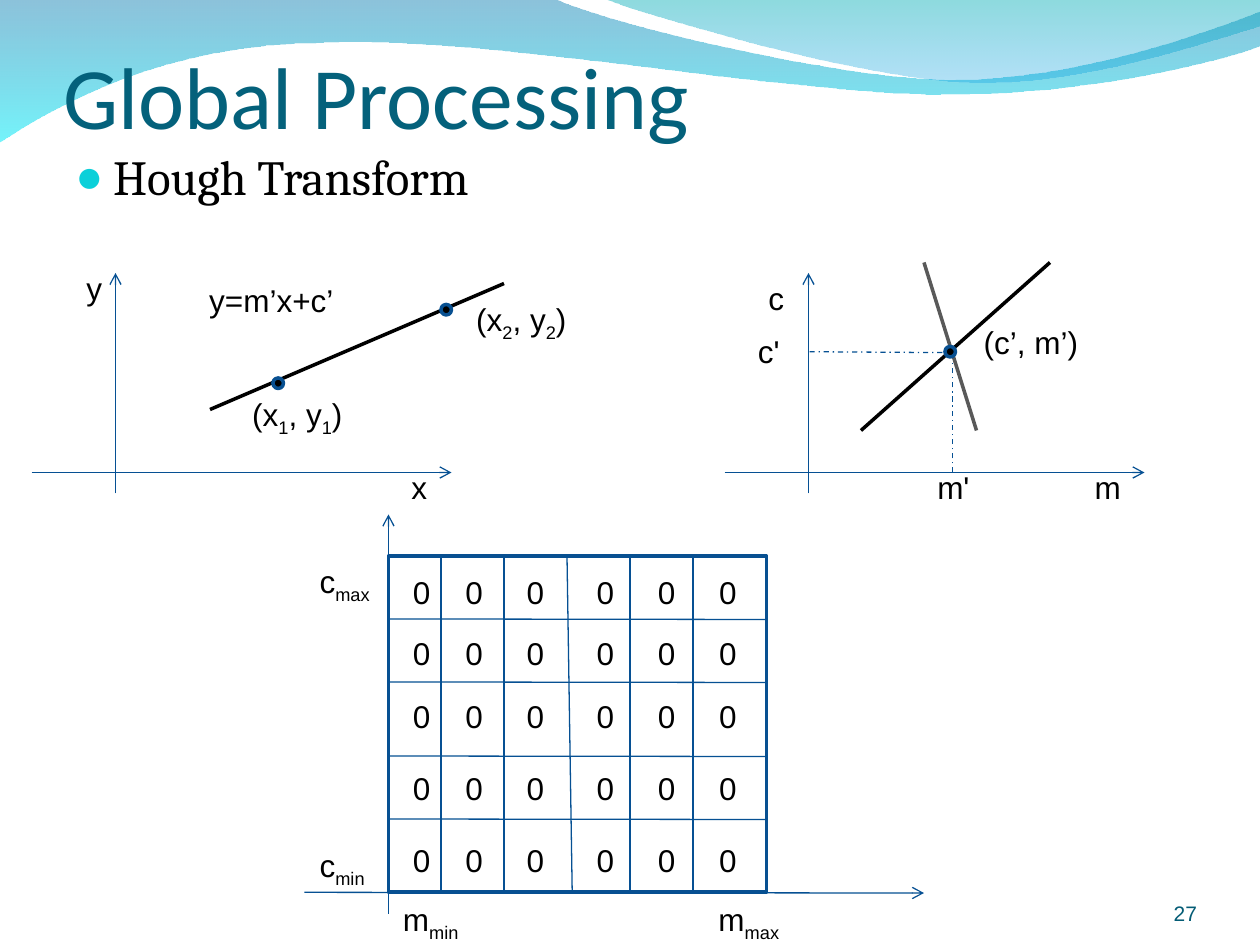
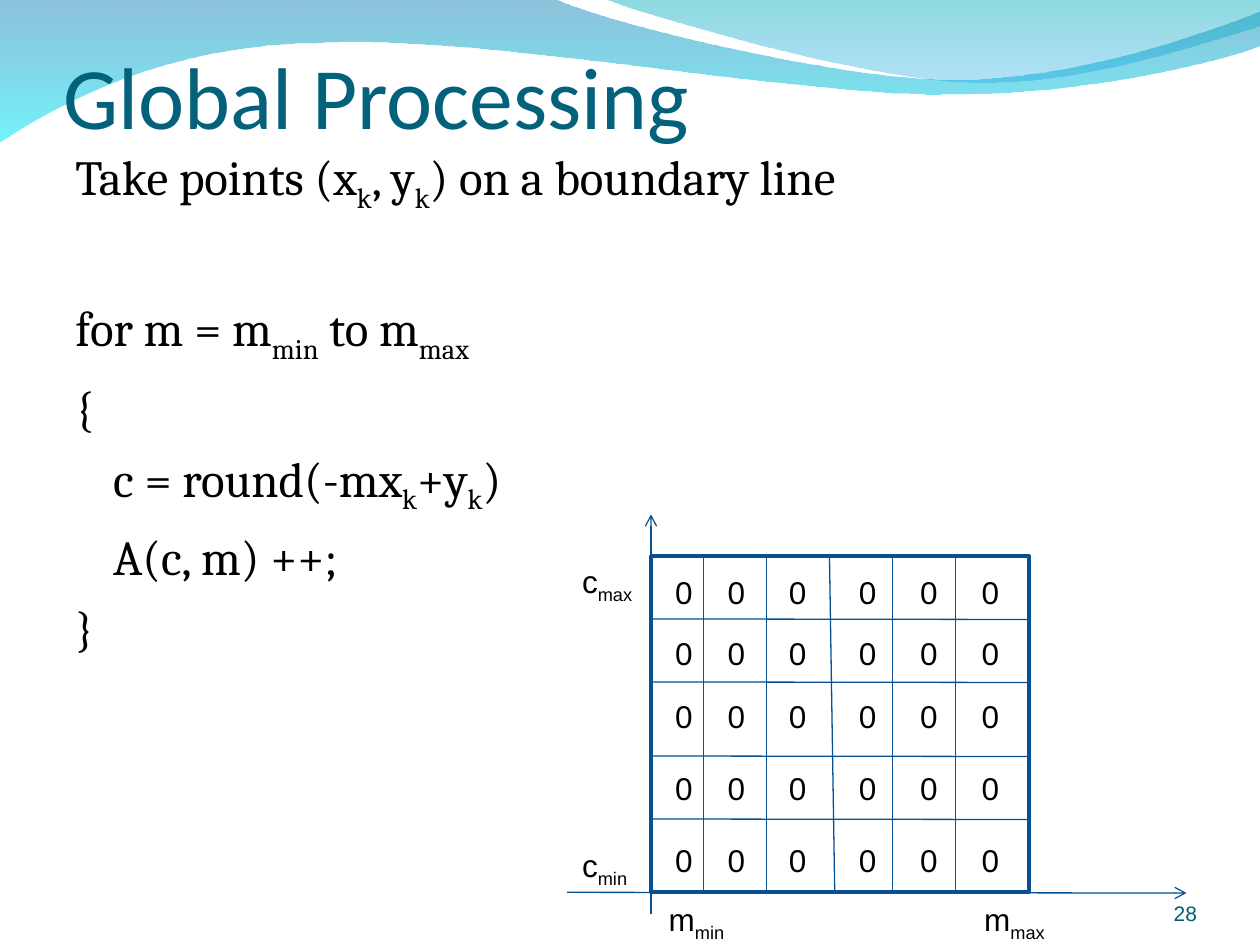
from lxml import etree
from pptx import Presentation
from pptx.dml.color import RGBColor
from pptx.enum.dml import MSO_LINE
from pptx.enum.shapes import MSO_CONNECTOR, MSO_SHAPE
from pptx.enum.text import MSO_ANCHOR as ANCHOR, MSO_AUTO_SIZE as AUTO_SIZE, PP_ALIGN as ALIGN
from pptx.oxml.ns import qn
from pptx.util import Pt

COLORS = {
    "title": "04617B", "text": "000000", "bullet": "0BD0D9", "number": "045C75",
    "axis": "065093", "outline": "085091", "second_line": "595959",
}
# Each band: outline in points (one point = straight, three = curve), then gradient stops
BANDS = [
    ([[(0, -0.7)], [(316.8, -0.7)],
      [(342.7, 12.2), (478.1, 45.4), (545.8, 45.4)],
      [(614.2, 45.4), (689.8, 18.7), (720, 6.5)], [(720.7, 25.9)],
      [(707.8, 31.7), (626.4, 54.7), (537.1, 54)],
      [(447.8, 54), (275, 20.2), (185, 24.5)],
      [(92.9, 25.2), (33.1, 59.8), (-0.7, 81.4)]],
     [("0079AF", 45), ("00EBF8", 55)]),
    ([[(344.9, -0.7)],
      [(366.5, 7.9), (491, 44.6), (553.7, 46.8)],
      [(616.3, 49.7), (691.9, 23), (720, 15.1)], [(720, 0)]],
     [("00ADB6", 45), ("009BE5", 30)]),
]


def add_text(slide, text, left, top, width, height, *, size=18, font="Arial", color="text",
             align=ALIGN.LEFT, anchor=ANCHOR.TOP, insets=(7.2, 3.6, 7.2, 3.6), wrap=False,
             gaps=(), indents=(), hanging=0, bullet=False, tabs=()):
    """Add a text box; each line is a paragraph, and text between ~ marks is subscript."""
    box = slide.shapes.add_textbox(Pt(left), Pt(top), Pt(width), Pt(height))
    frame = box.text_frame
    frame.word_wrap = wrap
    frame.auto_size = AUTO_SIZE.NONE if wrap else AUTO_SIZE.SHAPE_TO_FIT_TEXT
    frame.vertical_anchor = anchor
    frame.margin_left, frame.margin_top, frame.margin_right, frame.margin_bottom = map(Pt, insets)
    for index, line in enumerate(text.split("\n")):
        paragraph = frame.paragraphs[0] if index == 0 else frame.add_paragraph()
        paragraph.alignment = align
        if index and gaps:
            paragraph.space_before = Pt(gaps[index - 1])
        properties = paragraph._p.get_or_add_pPr()
        if indents:
            properties.set("marL", str(Pt(indents[index])))
            properties.set("indent", str(Pt(-hanging)))
        if bullet:
            bullet_color = etree.SubElement(properties, qn("a:buClr"))
            etree.SubElement(bullet_color, qn("a:srgbClr"), val=COLORS["bullet"])
            etree.SubElement(properties, qn("a:buSzPct"), val="95000")
            etree.SubElement(properties, qn("a:buFont"), typeface="Arial")
            etree.SubElement(properties, qn("a:buChar"), char="●")
        if tabs:
            tab_list = etree.SubElement(properties, qn("a:tabLst"))
            for position in tabs:
                etree.SubElement(tab_list, qn("a:tab"), pos=str(Pt(position)), algn="l")
        paragraph.font.size = Pt(size)
        for part, piece in enumerate(line.split("~")):
            if not piece:
                continue
            run = paragraph.add_run()
            run.text = piece
            run.font.size = Pt(size)
            run.font.name = font
            run.font.color.rgb = RGBColor.from_string(COLORS[color])
            if part % 2:
                run._r.get_or_add_rPr().set("baseline", "-25000")


def add_line(slide, x1, y1, x2, y2, color="axis", width=0.75, arrow=False, dash=None):
    connector = slide.shapes.add_connector(MSO_CONNECTOR.STRAIGHT, Pt(x1), Pt(y1), Pt(x2), Pt(y2))
    connector.line.color.rgb = RGBColor.from_string(COLORS[color])
    connector.line.width = Pt(width)
    if dash:
        connector.line.dash_style = dash
    if arrow:
        etree.SubElement(connector.line._get_or_add_ln(), qn("a:tailEnd"), type="arrow")
    etree.SubElement(connector._element.spPr, qn("a:effectLst"))


presentation = Presentation()
presentation.slide_width, presentation.slide_height = Pt(720), Pt(540)
hough_slide, algorithm_slide = [
    presentation.slides.add_slide(presentation.slide_layouts[6]) for _ in range(2)]

# Shared: bands, title, page number and accumulator grid
GRID_TOP, GRID_WIDTH, GRID_HEIGHT = 317.7, 216, 192.2
GRID_BOTTOM = GRID_TOP + GRID_HEIGHT
for slide, number, grid_left, label_shift in [(hough_slide, 27, 222, 1.2),
                                              (algorithm_slide, 28, 372, 3)]:
    for outline, stops in BANDS:
        points = [(Pt(x), Pt(y)) for segment in outline for x, y in segment]
        builder = slide.shapes.build_freeform(*points[0])
        builder.add_line_segments(points[1:], close=True)
        band = builder.convert_to_shape()
        # Merge the three straight steps of each curved segment into one Bézier curve
        steps = iter(list(band._element.iter(qn("a:lnTo"))))
        for segment in outline[1:]:
            curve, *controls = [next(steps) for _ in segment]
            if controls:
                curve.tag = qn("a:cubicBezTo")
            for control in controls:
                curve.append(control[0])
                control.getparent().remove(control)
        band.shadow.inherit = False
        band.line.fill.background()
        band.fill.gradient()
        band.fill.gradient_angle = 270
        for position, (stop, (color, _)) in enumerate(zip(band.fill.gradient_stops, stops)):
            stop.position = position
            stop.color.rgb = RGBColor.from_string(color)
        for element, (_, opacity) in zip(band._element.iter(qn("a:srgbClr")), stops):
            etree.SubElement(element, qn("a:alpha"), val=str(opacity * 1000))

    add_text(slide, "Global Processing", 36.3, -6, 648, 90, size=50, font="Calibri", color="title",
             anchor=ANCHOR.BOTTOM, insets=(0, 3.6, 0, 0), wrap=True)
    add_text(slide, str(number), 624, 500, 60, 28.8, size=12, color="number",
             align=ALIGN.RIGHT, anchor=ANCHOR.BOTTOM, insets=(0, 0, 0, 0), wrap=True)

    grid = slide.shapes.add_shape(MSO_SHAPE.RECTANGLE, Pt(grid_left), Pt(GRID_TOP),
                                  Pt(GRID_WIDTH), Pt(GRID_HEIGHT))
    grid.shadow.inherit = False
    grid.fill.background()
    grid.line.color.rgb = RGBColor.from_string(COLORS["outline"])
    grid.line.width = Pt(2)
    add_line(slide, grid_left, 522, grid_left, 294, arrow=True)
    add_line(slide, grid_left - 48, GRID_BOTTOM, grid_left + 306, GRID_BOTTOM + 0.4, arrow=True)
    for top_offset, bottom_offset in [(30, 30), (66, 66), (102, 105), (138, 138), (174, 174)]:
        add_line(slide, grid_left + top_offset, GRID_TOP, grid_left + bottom_offset, GRID_BOTTOM)
    for offset in (36, 72, 114.3, 150.3):
        add_line(slide, grid_left, GRID_TOP + offset,
                 grid_left + GRID_WIDTH, GRID_TOP + offset + 0.3)
    for label, left, top, width in [
            ("c~max~", grid_left - 46.5, GRID_TOP, 43.5),
            ("c~min~", grid_left - 46.5, 479.7, 40.5),
            ("m~min~", grid_left + label_shift, 511, 46.5),
            ("m~max~", grid_left + label_shift + 180.3, 511, 49.5)]:
        add_text(slide, label, left, top, width, 31.7)
    add_text(slide, "\n".join(["\t".join("0" * 6)] * 5), grid_left + 6.8, 324, 205, 181.4,
             wrap=True, gaps=(13.2, 14.6, 19.4, 19.4), tabs=(30, 65, 105, 140, 175))

# Slide 27: image space on the left, parameter space on the right
add_text(hough_slide, "Hough Transform", 36, 84, 648, 375, size=28, font="Cambria", wrap=True,
         insets=(7.2, 0, 7.2, 3.6), indents=[21.6], hanging=21.6, bullet=True)
for origin in (66, 462):
    add_line(hough_slide, origin, 282, origin, 156, arrow=True)
    add_line(hough_slide, origin - 48, 270, origin + 192, 270, arrow=True)
add_line(hough_slide, 538.5, 201.5, 461.5, 201, dash=MSO_LINE.DASH_DOT)
add_line(hough_slide, 544.5, 270, 544.5, 199.5, dash=MSO_LINE.DASH_DOT)
add_line(hough_slide, 120, 234, 288, 162, "text", 2)
add_line(hough_slide, 492, 246, 600, 150, "text", 2)
add_line(hough_slide, 558, 246, 528, 150, "second_line", 2)
for left, top in [(252, 174), (156, 216), (540, 198)]:
    dot = hough_slide.shapes.add_shape(MSO_SHAPE.OVAL, Pt(left), Pt(top), Pt(6), Pt(6))
    dot.shadow.inherit = False
    dot.fill.solid()
    dot.fill.fore_color.rgb = RGBColor.from_string(COLORS["text"])
    dot.line.color.rgb = RGBColor.from_string(COLORS["outline"])
    dot.line.width = Pt(2)
for label, left, top, width in [
        ("y", 42.3, 150, 24), ("x", 228, 264, 24), ("y=m’x+c’", 112.5, 157, 88),
        ("(x~1~, y~1~)", 137, 222, 68), ("(x~2~, y~2~)", 265, 168, 68),
        ("c", 432, 156, 24), ("c'", 426, 186, 29), ("m", 618.5, 264, 31),
        ("m'", 528.5, 264, 35), ("(c’, m’)", 555, 181, 70)]:
    add_text(hough_slide, label, left, top, width, 28.8)

# Slide 28: voting algorithm
algorithm = ["Take points (x~k~, y~k~) on a boundary line", "for m = m~min~ to m~max~", "{",
             "c = round(-mx~k~+y~k~)", "A(c, m) ++;", "}"]
add_text(algorithm_slide, "\n".join(algorithm), 36, 84, 648, 375, size=28, font="Cambria",
         wrap=True, insets=(7.2, 0, 7.2, 3.6), gaps=(48, 7, 7, 6.5, 7),
         indents=(0, 0, 0, 21.6, 21.6, 0))

presentation.save("out.pptx")
